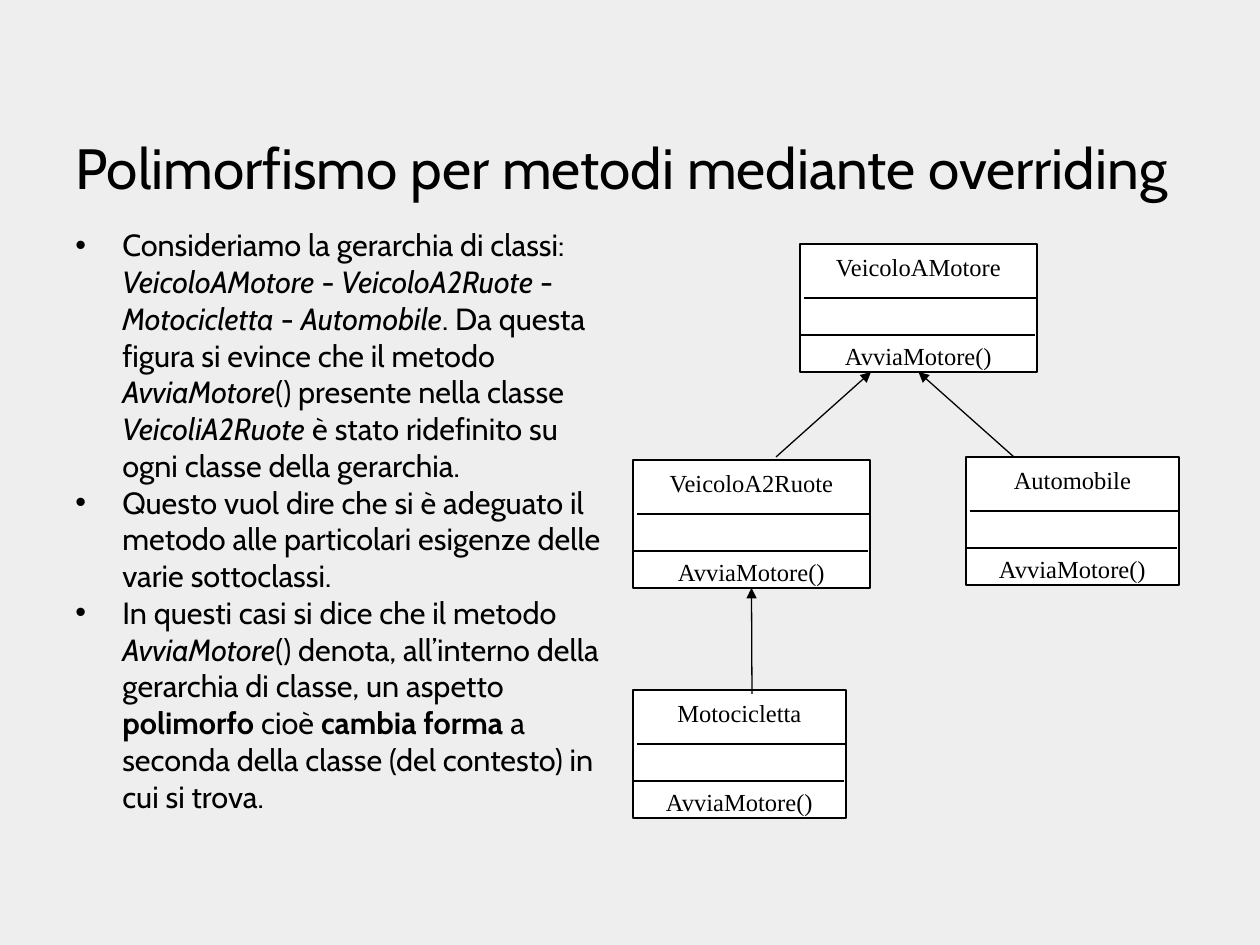
"""Builds a slide on polymorphism through overriding, with a class diagram."""
from lxml.etree import SubElement
from pptx import Presentation
from pptx.dml.color import RGBColor
from pptx.enum.shapes import MSO_CONNECTOR, MSO_SHAPE
from pptx.enum.text import MSO_ANCHOR, PP_ALIGN
from pptx.oxml.ns import qn
from pptx.util import Pt

EMU_PER_PX = 914400 / 126
COLORS = {"background": "EEEEEE", "ink": "000000", "box": "FFFFFF"}
BODY_FONT, DIAGRAM_FONT = "Cabin", "Times New Roman"
TITLE = "Polimorfismo per metodi mediante overriding"
PLAIN, ITALIC, BOLD = "plain", "italic", "bold"
BULLETS = [
    [("Consideriamo la gerarchia di classi: ", PLAIN), ("VeicoloAMotore", ITALIC),
     (" - ", PLAIN), ("VeicoloA2Ruote", ITALIC), (" - ", PLAIN),
     ("Motocicletta", ITALIC), (" - ", PLAIN), ("Automobile", ITALIC),
     (". Da questa figura si evince che il metodo ", PLAIN), ("AvviaMotore", ITALIC),
     ("() presente nella classe ", PLAIN), ("VeicoliA2Ruote", ITALIC),
     (" è stato ridefinito su ogni classe della gerarchia.", PLAIN)],
    [("Questo vuol dire che si è adeguato il metodo alle particolari esigenze "
      "delle varie sottoclassi.", PLAIN)],
    [("In questi casi si dice che il metodo ", PLAIN), ("AvviaMotore", ITALIC),
     ("() denota, all’interno della gerarchia di classe, un aspetto ", PLAIN),
     ("polimorfo", BOLD), (" cioè ", PLAIN), ("cambia forma", BOLD),
     (" a seconda della classe (del contesto) in cui si trova.", PLAIN)],
]
METHOD = "AvviaMotore()"
CLASS_HEIGHT = 128
CLASSES = [
    ("VeicoloAMotore", 800, 244, 237),
    ("Automobile", 966, 457, 213),
    ("Motocicletta", 633, 690, 213),
    ("VeicoloA2Ruote", 633, 460, 237),
]


def px(value):
    """Return a length in px as EMU."""
    return round(value * EMU_PER_PX)


def color(name):
    """Return a named colour."""
    return RGBColor.from_string(COLORS[name])


def style_font(paragraph, name, size):
    """Set the font of a paragraph."""
    paragraph.font.name = name
    paragraph.font.size = Pt(size)
    paragraph.font.color.rgb = color("ink")


def add_text_box(slide, left, top, width, height):
    """Add a wrapping text box and return its text frame."""
    shape = slide.shapes.add_textbox(px(left), px(top), px(width), px(height))
    shape.text_frame.word_wrap = True
    return shape.text_frame


def add_title(slide):
    """Add the title, resting on the bottom of its box."""
    frame = add_text_box(slide, 63, 49, 1134, 158)
    frame.vertical_anchor = MSO_ANCHOR.BOTTOM
    frame.text = TITLE
    style_font(frame.paragraphs[0], BODY_FONT, 32.4)


def add_bullets(slide):
    """Add the bulleted explanation."""
    frame = add_text_box(slide, 63, 220, 557, 624)
    for index, runs in enumerate(BULLETS):
        paragraph = frame.add_paragraph() if index else frame.paragraphs[0]
        style_font(paragraph, BODY_FONT, 17.5)
        paragraph.line_spacing = Pt(21)
        properties = paragraph._p.get_or_add_pPr()
        properties.set("marL", str(px(47)))
        properties.set("indent", str(px(-47)))
        SubElement(properties, qn("a:buFont")).set("typeface", "Arial")
        SubElement(properties, qn("a:buChar")).set("char", "•")
        properties.append(properties.find(qn("a:defRPr")))
        for text, style in runs:
            run = paragraph.add_run()
            run.text = text
            if style == ITALIC:
                run.font.italic = True
            elif style == BOLD:
                run.font.bold = True


def add_line(slide, start, end, arrow=False):
    """Add a thin straight line, with an arrowhead at its end if wanted."""
    line = slide.shapes.add_connector(
        MSO_CONNECTOR.STRAIGHT, *map(px, start), *map(px, end))
    line.line.color.rgb = color("ink")
    line.line.width = Pt(0.75)
    if arrow:
        SubElement(line.line._get_or_add_ln(), qn("a:tailEnd")).set("type", "triangle")
    SubElement(line._element.spPr, qn("a:effectLst"))
    return line


def add_class(slide, name, left, top, width):
    """Add a class box with its name, empty attributes and method."""
    shape = slide.shapes.add_shape(
        MSO_SHAPE.RECTANGLE, px(left), px(top), px(width), px(CLASS_HEIGHT))
    shape.shadow.inherit = False
    shape.fill.solid()
    shape.fill.fore_color.rgb = color("box")
    shape.line.color.rgb = color("ink")
    shape.line.width = Pt(0.75)
    frame = shape.text_frame
    frame.vertical_anchor = MSO_ANCHOR.TOP
    frame.margin_top = px(8)
    frame.margin_bottom = 0
    frame.text = f"{name}\n{METHOD}"
    for paragraph in frame.paragraphs:
        paragraph.alignment = PP_ALIGN.CENTER
        style_font(paragraph, DIAGRAM_FONT, 14)
    frame.paragraphs[1].space_before = Pt(34)
    add_line(slide, (left + 4, top + 54), (left + width, top + 54))
    add_line(slide, (left + 1, top + 91), (left + width - 2, top + 91))
    return shape


def add_diagram(slide):
    """Add the classes and the inheritance arrows."""
    boxes = {row[0]: add_class(slide, *row) for row in CLASSES}
    add_line(slide, (776, 457), (871, 372), arrow=True)
    from_car = add_line(slide, (1014, 457), (919, 372), arrow=True)
    from_car.end_connect(boxes["VeicoloAMotore"], 2)
    from_motorbike = add_line(slide, (752, 694), (752, 588), arrow=True)
    from_motorbike.end_connect(boxes["VeicoloA2Ruote"], 2)


def main():
    """Build and save the slide."""
    presentation = Presentation()
    presentation.slide_width = px(1260)
    presentation.slide_height = px(945)
    slide = presentation.slides.add_slide(presentation.slide_layouts[6])
    slide.background.fill.solid()
    slide.background.fill.fore_color.rgb = color("background")
    add_bullets(slide)
    add_title(slide)
    add_diagram(slide)
    presentation.save("out.pptx")


if __name__ == "__main__":
    main()
